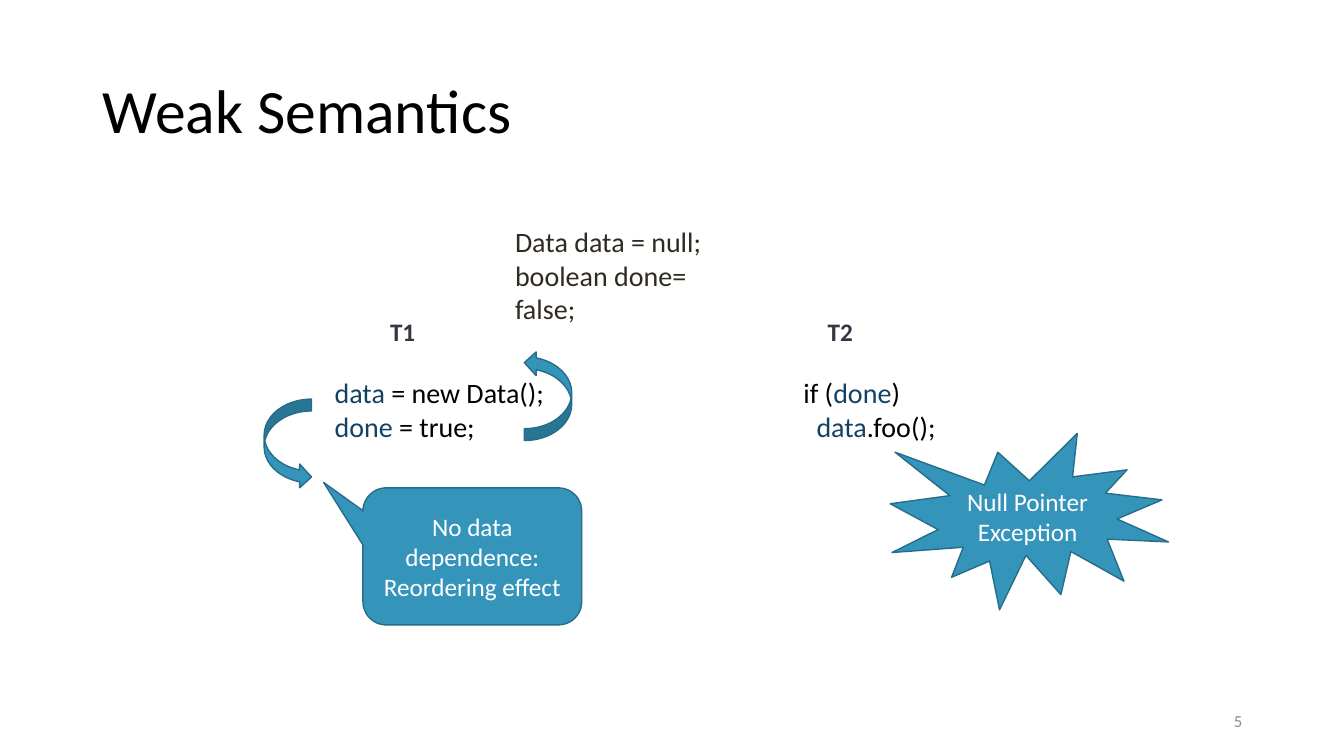
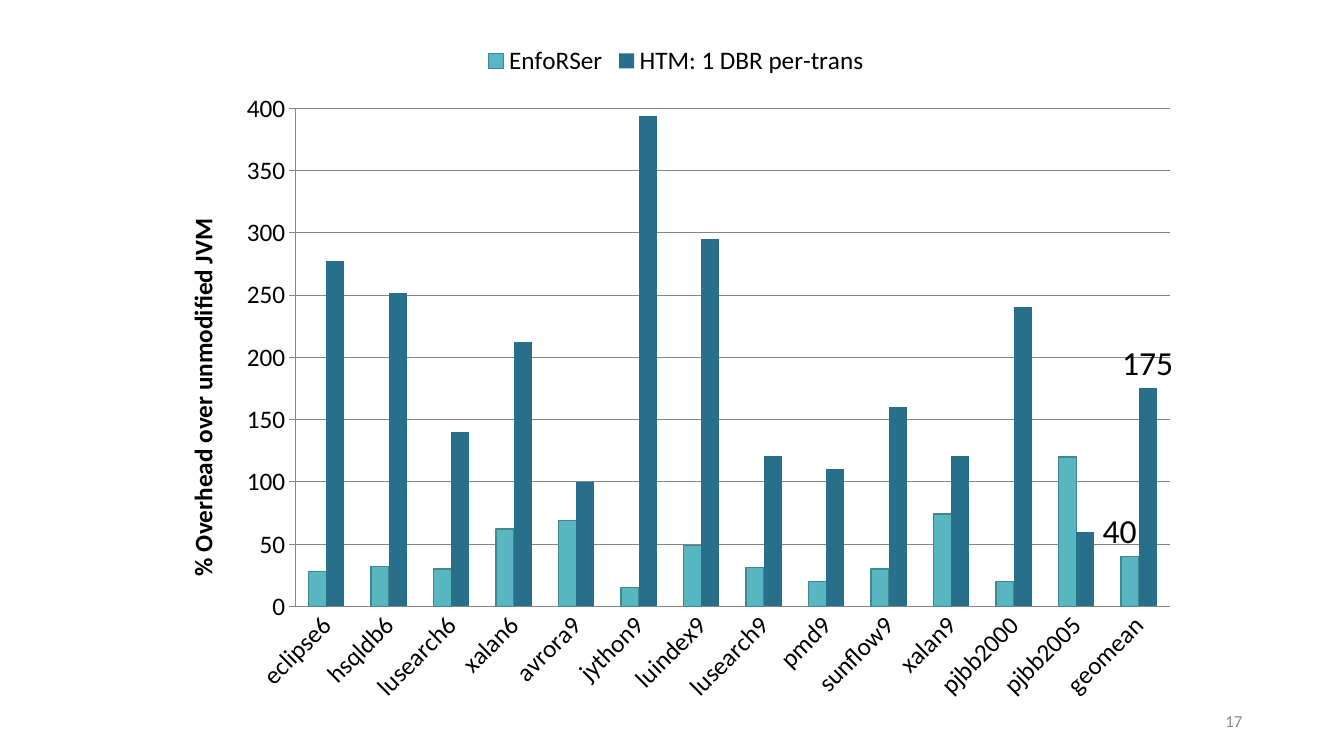
from pptx import Presentation
from pptx import util as u
from pptx.chart.data import CategoryChartData
from pptx.dml.color import RGBColor
from pptx.enum import chart as charts, shapes, text
from pptx.oxml import parse_xml
from pptx.oxml.ns import nsdecls, qn

PX = 9144  # EMU; 100 px to the inch
FONT = "Calibri"
BLACK, WHITE, GREY = "000000", "FFFFFF", "8C8C8C"
HEADING, CODE, NAME = "373545", "2F2B20", "134163"
BLUE, BLUE_EDGE = "3494BA", "266D8A"
TEAL, TEAL_EDGE, DARK_BLUE, GRID = "58B6C0", "41878E", "276F8B", "868686"

BENCHMARKS = ["eclipse6", "hsqldb6", "lusearch6", "xalan6", "avrora9", "jython9", "luindex9",
              "lusearch9", "pmd9", "sunflow9", "xalan9", "pjbb2000", "pjbb2005", "geomean"]
ENFORSER = [28, 32, 30, 62, 69, 15, 49, 31, 20, 30, 74, 20, 120, 40]
HTM = [277, 252, 140, 212, 100, 394, 295, 121, 110, 160, 121, 240, 60, 175]


def color(value):
    return RGBColor.from_string(value)


def apply(target, **values):
    for name, value in values.items():
        setattr(target, name, value)


def manual_layout(**values):
    """Return a c:layout element; the keywords are its children, in order."""
    children = "".join(f'<c:{name} val="{value}"/>' for name, value in values.items())
    return parse_xml(f'<c:layout {nsdecls("c")}><c:manualLayout>{children}'
                     '</c:manualLayout></c:layout>')


class Deck:
    def __init__(self):
        self.presentation = Presentation()
        apply(self.presentation, slide_width=1333 * PX, slide_height=750 * PX)
        self.slide = None

    def new_slide(self, number):
        self.slide = self.presentation.slides.add_slide(self.presentation.slide_layouts[6])
        self.text((942, 695, 300, 40), [str(number)], 12, GREY,
                  align=text.PP_ALIGN.RIGHT, anchor=text.MSO_ANCHOR.MIDDLE)

    def style(self, font, size, fill, bold=False):
        apply(font, name=FONT, size=u.Pt(size), bold=bold)
        font.color.rgb = color(fill)

    def fill_frame(self, frame, lines, size, fill, bold=False, align=text.PP_ALIGN.LEFT,
                   anchor=text.MSO_ANCHOR.TOP, spacing=1.0, indents=()):
        """Put lines in a frame; a line is a string or a list of (string, colour) runs."""
        apply(frame, word_wrap=True, vertical_anchor=anchor)
        for index, line in enumerate(lines):
            paragraph = frame.add_paragraph() if index else frame.paragraphs[0]
            apply(paragraph, alignment=align, line_spacing=spacing)
            if index < len(indents):
                paragraph._p.get_or_add_pPr().set("marL", str(indents[index] * PX))
            for words, run_color in [(line, fill)] if isinstance(line, str) else line:
                run = paragraph.add_run()
                run.text = words
                self.style(run.font, size, run_color, bold)

    def text(self, box, lines, size, fill=BLACK, **options):
        shape = self.slide.shapes.add_textbox(*(side * PX for side in box))
        self.fill_frame(shape.text_frame, lines, size, fill, **options)

    def title(self, words):
        self.text((92, 40, 1150, 145), [words], 44, spacing=0.9,
                  anchor=text.MSO_ANCHOR.MIDDLE)

    def shape(self, kind, box, lines=(), rotation=0, adjustments=()):
        shape = self.slide.shapes.add_shape(kind, *(side * PX for side in box))
        shape.rotation = rotation
        shape.shadow.inherit = False
        shape.fill.solid()
        shape.fill.fore_color.rgb = color(BLUE)
        shape.line.color.rgb = color(BLUE_EDGE)
        shape.line.width = u.Pt(1)
        for index, value in enumerate(adjustments):
            shape.adjustments[index] = value
        self.fill_frame(shape.text_frame, lines, 18, WHITE, align=text.PP_ALIGN.CENTER,
                        anchor=text.MSO_ANCHOR.MIDDLE)

    def column_chart(self, box, categories, series, axis_title, maximum, step):
        """Draw clustered columns; series holds (name, values, fill, edge)."""
        data = CategoryChartData()
        data.categories = categories
        for name, values, *_ in series:
            data.add_series(name, values)
        chart = self.slide.shapes.add_chart(charts.XL_CHART_TYPE.COLUMN_CLUSTERED,
                                            *(side * PX for side in box), data).chart
        self.style(chart.font, 18, BLACK)
        apply(chart, has_title=False, has_legend=True)
        apply(chart.legend, position=charts.XL_LEGEND_POSITION.TOP, include_in_layout=False)
        plot = chart.plots[0]
        apply(plot, gap_width=150, overlap=0, vary_by_categories=False)
        for column, (_, _, fill, edge) in zip(plot.series, series):
            column.format.fill.solid()
            column.format.fill.fore_color.rgb = color(fill)
            if edge:
                column.format.line.color.rgb = color(edge)
                column.format.line.width = u.Pt(1)
            else:
                column.format.line.fill.background()
        self.axes(chart, axis_title, maximum, step)
        return chart

    def axes(self, chart, axis_title, maximum, step):
        category, value = chart.category_axis, chart.value_axis
        apply(category, major_tick_mark=charts.XL_TICK_MARK.NONE, has_major_gridlines=False)
        apply(value, major_tick_mark=charts.XL_TICK_MARK.OUTSIDE, has_major_gridlines=True,
              minimum_scale=0, maximum_scale=maximum, major_unit=step, has_title=True)
        for line in (category.format.line, value.format.line, value.major_gridlines.format.line):
            line.color.rgb = color(GRID)
            line.width = u.Pt(0.75)
        for axis in (category, value):
            self.style(axis.tick_labels.font, 18, BLACK)
        category._element.find(qn("c:txPr")).find(qn("a:bodyPr")).set("rot", "-2700000")
        frame = value.axis_title.text_frame
        self.fill_frame(frame, [axis_title], 18, BLACK, bold=True,
                        align=text.PP_ALIGN.CENTER)
        body = frame._txBody.find(qn("a:bodyPr"))
        body.set("rot", "-5400000")
        body.set("vert", "horz")

    def plot_area(self, chart, x, y, w, h):
        """Place the inside of the plot, in fractions of the chart."""
        area = chart._chartSpace.find(".//" + qn("c:plotArea"))
        for old in area.findall(qn("c:layout")):
            area.remove(old)
        area.insert(0, manual_layout(layoutTarget="inner", xMode="edge", yMode="edge",
                                     x=x, y=y, w=w, h=h))

    def point_label(self, series, index, shift=0):
        """Show one point's value, shifted by a fraction of the chart width."""
        label = series.points[index].data_label
        self.style(label.font, 24, BLACK)
        label.position = charts.XL_LABEL_POSITION.OUTSIDE_END
        if shift:
            element = series._element.find(".//" + qn("c:dLbl"))
            element.find(qn("c:idx")).addnext(manual_layout(x=shift, y=0))


def weak_semantics(deck):
    deck.new_slide(5)
    deck.title("Weak Semantics")
    for left, thread in ((377, "T1"), (811, "T2")):
        deck.text((left, 309, 53, 40), [thread], 18, HEADING, bold=True)
    deck.text((322, 368, 254, 111), [[("data", NAME), (" = new Data();", BLACK)],
                                     [("done ", NAME), ("= true;", BLACK)]], 20)
    deck.text((787, 368, 228, 77), [[("if (", BLACK), ("done", NAME), (")", BLACK)],
                                    [("data", NAME), (".foo();", BLACK)]], 20,
              indents=(0, 13))
    deck.text((501, 218, 244, 111), ["Data data = null;", "boolean done= false;"], 20, CODE)
    kinds = shapes.MSO_SHAPE
    deck.shape(kinds.EXPLOSION1, (883, 430, 276, 175), ["Null Pointer Exception"])
    for left, top, rotation in ((262, 396, 0), (520, 348, 180)):
        deck.shape(kinds.CURVED_RIGHT_ARROW, (left, top, 47, 89), rotation=rotation)
    deck.shape(kinds.ROUNDED_RECTANGULAR_CALLOUT, (360, 484, 217, 136),
               ["No data dependence:", "Reordering effect"],
               adjustments=(-0.68, -0.54, 0.17))


def overhead(deck):
    deck.new_slide(17)
    chart = deck.column_chart(
        (160, 33, 1021, 677), BENCHMARKS,
        [("EnfoRSer", ENFORSER, TEAL, TEAL_EDGE),
         ("HTM: 1 DBR per-trans", HTM, DARK_BLUE, None)],
        "% Overhead over unmodified JVM", maximum=400, step=50)
    deck.plot_area(chart, x=0.13, y=0.11, w=0.85, h=0.73)
    for series, shift in zip(chart.plots[0].series, (-0.01, 0)):
        deck.point_label(series, len(BENCHMARKS) - 1, shift)


def main():
    deck = Deck()
    weak_semantics(deck)
    overhead(deck)
    deck.presentation.save("out.pptx")


if __name__ == "__main__":
    main()
